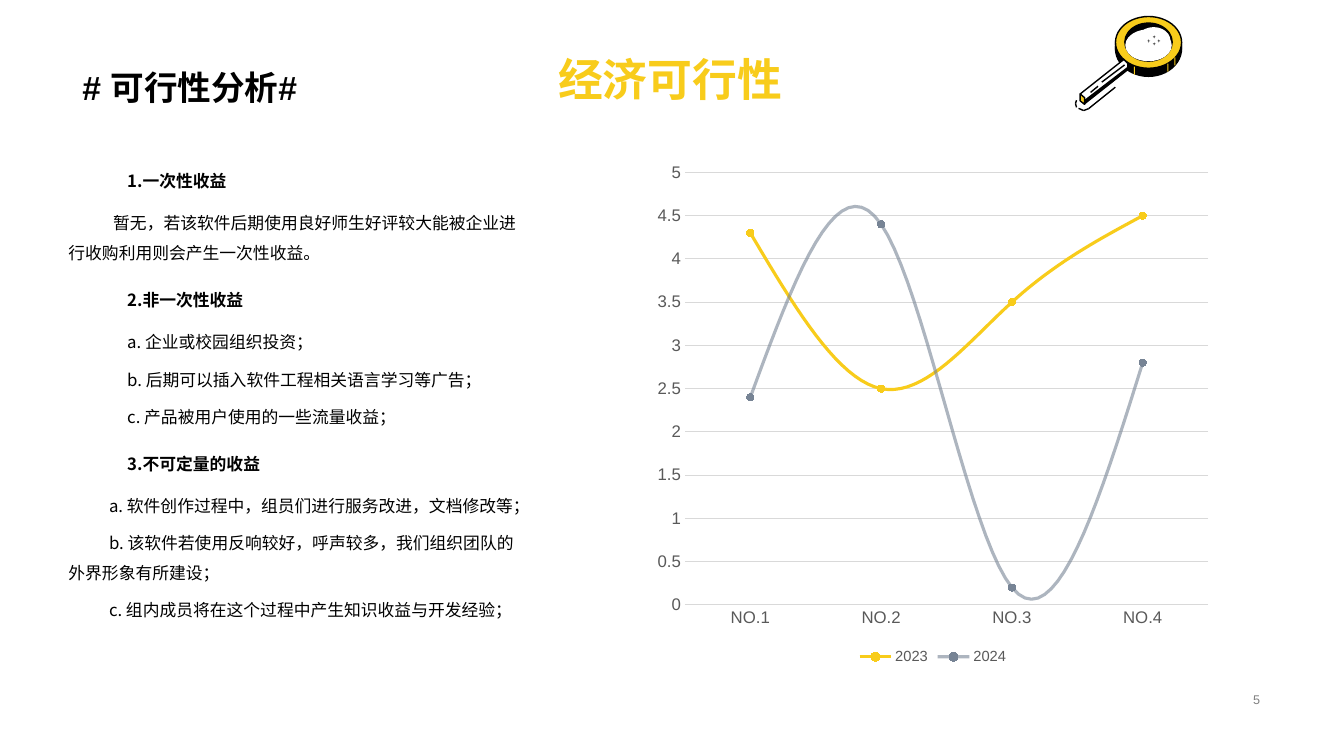
from itertools import pairwise

from lxml.etree import SubElement
from pptx import Presentation
from pptx.chart.data import CategoryChartData
from pptx.dml.color import RGBColor
from pptx.enum.chart import XL_CHART_TYPE, XL_LEGEND_POSITION, XL_MARKER_STYLE, XL_TICK_MARK
from pptx.enum.shapes import MSO_CONNECTOR, MSO_SHAPE
from pptx.enum.text import MSO_ANCHOR, PP_ALIGN
from pptx.oxml.ns import qn
from pptx.util import Pt

COLORS = {"yellow": "F8CC1B", "slate": "778495", "black": "000000", "white": "FFFFFF",
          "label": "595959", "grid": "D9D9D9", "number": "808080"}
BODY_FONT = "Noto Sans CJK SC"

# Kind of line, first-line position in points, text
BENEFITS = [
    ("head", 42, "1.一次性收益"),
    ("item", 32, "暂无，若该软件后期使用良好师生好评较大能被企业进行收购利用则会产生一次性收益。"),
    ("head", 42, "2.非一次性收益"),
    ("item", 42, "a. 企业或校园组织投资；"),
    ("item", 42, "b. 后期可以插入软件工程相关语言学习等广告；"),
    ("item", 42, "c. 产品被用户使用的一些流量收益；"),
    ("head", 42, "3.不可定量的收益"),
    ("item", 29, "a. 软件创作过程中，组员们进行服务改进，文档修改等；"),
    ("item", 29, "b. 该软件若使用反响较好，呼声较多，我们组织团队的外界形象有所建设；"),
    ("item", 29, "c. 组内成员将在这个过程中产生知识收益与开发经验；"),
]
QUARTERS = ["NO.1", "NO.2", "NO.3", "NO.4"]
SERIES = [("2023", (4.3, 2.5, 3.5, 4.5), "yellow"), ("2024", (2.4, 4.4, 0.2, 2.8), "slate")]


def rgb(name):
    return RGBColor.from_string(COLORS[name])


def set_font(font, size, color, bold=False, name="Arial"):
    font.size, font.bold, font.name = Pt(size), bold, name
    font.color.rgb = rgb(color)


def add_box(page, left, top, width, height, anchor):
    box = page.shapes.add_textbox(Pt(left), Pt(top), Pt(width), Pt(height))
    box.text_frame.word_wrap = True
    box.text_frame.vertical_anchor = anchor
    return box.text_frame


def add_label(page, place, text, size, color, bold, align, anchor=MSO_ANCHOR.MIDDLE, spacing=1.0):
    para = add_box(page, *place, anchor).paragraphs[0]
    para.text, para.alignment, para.line_spacing = text, align, spacing
    set_font(para.font, size, color, bold)


def add_benefits(page):
    frame = add_box(page, 41.8, 108, 342.7, 368, MSO_ANCHOR.TOP)
    for index, (kind, first_line, text) in enumerate(BENEFITS):
        para = frame.add_paragraph() if index else frame.paragraphs[0]
        para.text = text
        is_head = kind == "head"
        para.line_spacing = 1.73 if is_head else 1.5
        para.space_before = para.space_after = Pt(6 if is_head else 2.5)
        set_font(para.font, 12, "black", is_head, BODY_FONT)
        props = para._p.get_or_add_pPr()
        margin = 21 if first_line == 42 else 0
        props.set("marL", str(Pt(margin)))
        props.set("indent", str(Pt(first_line - margin)))
        SubElement(props.find(qn("a:defRPr")), qn("a:ea"), typeface=BODY_FONT)


def add_trend_chart(page):
    data = CategoryChartData()
    data.categories = QUARTERS
    for name, values, _ in SERIES:
        data.add_series(name, values)
    chart = page.shapes.add_chart(XL_CHART_TYPE.LINE_MARKERS, Pt(461.5), Pt(109.4),
                                  Pt(409.7), Pt(368.6), data).chart
    set_font(chart.font, 10, "black")
    chart.has_title = False
    chart.plots[0].vary_by_categories = False
    chart.has_legend = True
    chart.legend.position = XL_LEGEND_POSITION.BOTTOM
    chart.legend.include_in_layout = False
    set_font(chart.legend.font, 10.5, "label")

    # Axes
    for axis in (chart.category_axis, chart.value_axis):
        axis.major_tick_mark = axis.minor_tick_mark = XL_TICK_MARK.NONE
        set_font(axis.tick_labels.font, 12, "label")
    values_axis = chart.value_axis
    values_axis.minimum_scale, values_axis.maximum_scale, values_axis.major_unit = 0, 5, 0.5
    values_axis.format.line.fill.background()
    for line in (chart.category_axis.format.line, values_axis.major_gridlines.format.line):
        line.color.rgb, line.width = rgb("grid"), Pt(0.75)

    # Curves
    for series, (_, _, color) in zip(chart.plots[0].series, SERIES):
        series.smooth = True
        series.format.line.color.rgb, series.format.line.width = rgb(color), Pt(2.25)
        series.marker.style, series.marker.size = XL_MARKER_STYLE.CIRCLE, 5
        series.marker.format.fill.solid()
        series.marker.format.fill.fore_color.rgb = rgb(color)
        series.marker.format.line.fill.background()
    tint = series.format.line._ln.find(".//" + qn("a:srgbClr"))
    SubElement(tint, qn("a:alpha"), val="60000")


def paint(shape, fill, outlined):
    shape.shadow.inherit = False
    shape.fill.solid()
    shape.fill.fore_color.rgb = rgb(fill)
    if outlined:
        shape.line.color.rgb, shape.line.width = rgb("black"), Pt(1)
    else:
        shape.line.fill.background()


def add_preset(page, kind, left, top, width, height, fill, outlined=False):
    shape = page.shapes.add_shape(kind, Pt(left), Pt(top), Pt(width), Pt(height))
    paint(shape, fill, outlined)


def add_polygon(page, points, fill, outlined=False):
    corners = [(Pt(x), Pt(y)) for x, y in points]
    builder = page.shapes.build_freeform(*corners[0])
    builder.add_line_segments(corners[1:])
    paint(builder.convert_to_shape(), fill, outlined)


def add_stroke(page, points):
    for start, end in pairwise(points):
        line = page.shapes.add_connector(MSO_CONNECTOR.STRAIGHT, *map(Pt, start + end))
        line.line.color.rgb, line.line.width = rgb("black"), Pt(1)
        SubElement(line._element.spPr, qn("a:effectLst"))


def add_magnifier(page):
    oval, bar = MSO_SHAPE.OVAL, MSO_SHAPE.RECTANGLE
    # Rim and lens
    add_preset(page, oval, 796.3, 14.5, 48.2, 40.5, "black")
    add_preset(page, bar, 796.3, 29.5, 48.2, 6, "black")
    add_preset(page, oval, 796.8, 11.8, 47.2, 37, "yellow", True)
    add_preset(page, oval, 803, 16, 34.8, 28.2, "black")
    add_preset(page, oval, 803.8, 21, 33.2, 22.7, "white")
    add_preset(page, oval, 812, 19.4, 24, 19, "white")
    for left, top in [(810, 47.5), (838.8, 41), (833.8, 45.4)]:
        add_preset(page, bar, left, top, 0.7, 5.8, "yellow")
    for left, top in [(823.3, 25.2), (826.6, 28.1), (819.4, 28.1), (823.3, 30.2)]:
        add_preset(page, MSO_SHAPE.STAR_4_POINT, left, top, 2.3, 2.3, "black")
    # Handle
    add_polygon(page, [(771.8, 67), (802.8, 42.5), (805.7, 45.4), (805.7, 49.7), (774.7, 74.2)],
                "white", True)
    add_polygon(page, [(805.7, 47.5), (805.7, 50), (774.7, 74.2), (774.7, 71.3)], "black")
    add_polygon(page, [(771.5, 67), (774.7, 69.8), (774.7, 74.5), (771.5, 72)], "yellow", True)
    # Glints and shadow lines
    for points in [[(787, 58.7), (803.3, 46.4)], [(779, 66), (784.3, 61.6)],
                   [(770.4, 77.4), (774, 79), (777.6, 77.6), (796.7, 62.3)],
                   [(769, 76.7), (768.2, 74), (769, 71.6)]]:
        add_stroke(page, points)


def main():
    deck = Presentation()
    deck.slide_width, deck.slide_height = Pt(960), Pt(540)
    page = deck.slides.add_slide(deck.slide_layouts[6])
    add_label(page, (51.8, 33.1, 853.9, 46), "经济可行性", 32, "yellow", True, PP_ALIGN.CENTER)
    add_label(page, (51.8, 0, 855.4, 80.6), "# 可行性分析#", 24, "black", True, PP_ALIGN.LEFT,
              MSO_ANCHOR.BOTTOM, 0.9)
    add_magnifier(page)
    add_label(page, (706.3, 491, 200.9, 16.6), "5", 9, "number", False, PP_ALIGN.RIGHT)
    add_trend_chart(page)
    add_benefits(page)
    deck.save("out.pptx")


if __name__ == "__main__":
    main()
